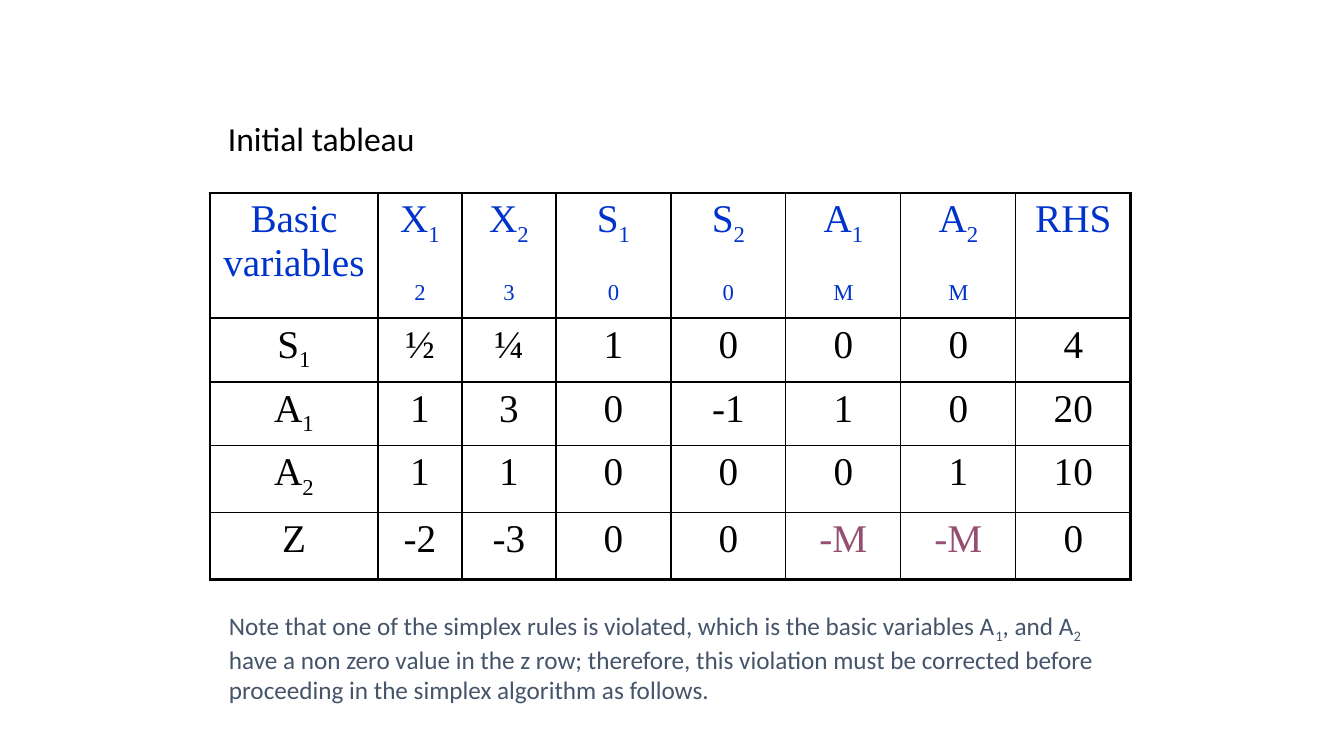
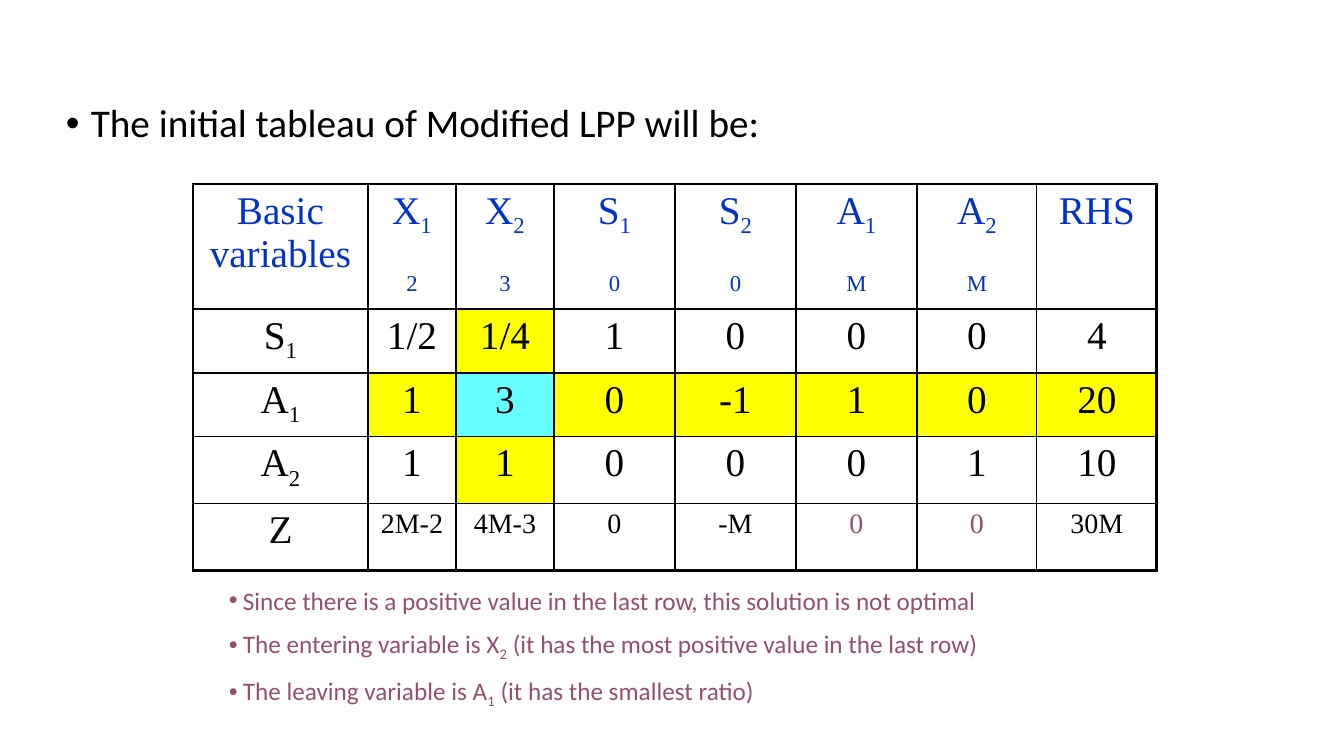
"""Two slides with the initial simplex tableau of the Big M method and its modified form."""
from lxml import etree
from pptx import Presentation
from pptx.dml.color import RGBColor
from pptx.enum.text import PP_ALIGN as Align
from pptx.oxml.ns import qn
from pptx.util import Pt

PX = 914400 / 100.8
COLORS = {
    "ink": "000000",
    "header": "0033CC",
    "accent": "954F72",
    "note": "44546A",
    "pivot line": "FFFF00",
    "pivot": "66FFFF",
}
HEADER = ["Basic variables", "X~1~\n~2~", "X~2~\n~3~", "S~1~\n~0~",
          "S~2~\n~0~", "A~1~\n~M~", "A~2~\n~M~", "RHS"]
ROW_HEIGHTS = [94, 64, 59, 67, 67]
LAST_ROW = len(ROW_HEIGHTS) - 1
LAST_COL = len(HEADER) - 1
ARTIFICIAL_COLS = (5, 6)


def px(*lengths):
    return [round(length * PX) for length in lengths]


def write(frame, text, size, color, font="Calibri", align=Align.LEFT,
          before=0, line=None, indent=0):
    """Fill a text frame; tildes enclose subscripts."""
    frame.word_wrap = True
    for number, content in enumerate(text.split("\n")):
        paragraph = frame.paragraphs[0] if number == 0 else frame.add_paragraph()
        paragraph.alignment = align
        paragraph.space_before = Pt(before)
        if line:
            paragraph.line_spacing = line
        if indent:
            properties = paragraph._p.get_or_add_pPr()
            hang = px(indent)[0]
            properties.set("marL", str(hang))
            properties.set("indent", str(-hang))
            etree.SubElement(properties, qn("a:buFont"), typeface="Arial")
            etree.SubElement(properties, qn("a:buChar"), char="•")
        for part, piece in enumerate(content.split("~")):
            if not piece:
                continue
            run = paragraph.add_run()
            run.text = piece
            run.font.size = Pt(size)
            run.font.name = font
            run.font.color.rgb = RGBColor.from_string(COLORS[color])
            if part % 2:
                run._r.get_or_add_rPr().set("baseline", "-25000")


tableaus = [
    {
        "heading": "Initial tableau",
        "heading box": (218, 117, 932, 51),
        "heading format": {"size": 24},
        "corner": (210, 193),
        "columns": [168, 84, 94] + [115] * 5,
        "rows": ["S~1~ ½ ¼ 1 0 0 0 4",
                 "A~1~ 1 3 0 -1 1 0 20",
                 "A~2~ 1 1 0 0 0 1 10",
                 "Z -2 -3 0 0 -M -M 0"],
        "z size": 28,
        "pivot": None,
        "note": "Note that one of the simplex rules is violated, which is the basic "
                "variables A~1~, and A~2~ have a non zero value in the z row; therefore, "
                "this violation must be corrected before proceeding in the simplex "
                "algorithm as follows.",
        "note box": (219, 605, 899, 101),
        "note format": {"color": "note"},
    },
    {
        "heading": "The initial tableau of Modified LPP will be:",
        "heading box": (56, 99, 1200, 562),
        "heading format": {"size": 28, "indent": 25},
        "corner": (193, 184),
        "columns": [175, 88, 98] + [121] * 3 + [120] * 2,
        "rows": ["S~1~ 1/2 1/4 1 0 0 0 4",
                 "A~1~ 1 3 0 -1 1 0 20",
                 "A~2~ 1 1 0 0 0 1 10",
                 "Z 2M-2 4M-3 0 -M 0 0 30M"],
        "z size": 20,
        "pivot": (2, 2),
        "note": "Since there is a positive value in the last row, this solution is not optimal\n"
                "The entering variable is X~2~ (it has the most positive value in the last row)\n"
                "The leaving variable is A~1~ (it has the smallest ratio)",
        "note box": (219, 580, 890, 131),
        "note format": {"color": "accent", "indent": 14},
    },
]

deck = Presentation()
deck.slide_width, deck.slide_height = px(1344, 756)

for tableau in tableaus:
    shapes = deck.slides.add_slide(deck.slide_layouts[6]).shapes
    heading = shapes.add_textbox(*px(*tableau["heading box"]))
    write(heading.text_frame, tableau["heading"], color="ink", before=10, line=0.9,
          **tableau["heading format"])

    columns = tableau["columns"]
    grid = shapes.add_table(len(ROW_HEIGHTS), len(HEADER), *px(
        *tableau["corner"], sum(columns), sum(ROW_HEIGHTS))).table
    grid.first_row = grid.horz_banding = False
    for column, width in zip(grid.columns, px(*columns)):
        column.width = width
    for row, height in zip(grid.rows, px(*ROW_HEIGHTS)):
        row.height = height

    values = [HEADER] + [row.split() for row in tableau["rows"]]
    for r, row in enumerate(values):
        for c, value in enumerate(row):
            cell = grid.cell(r, c)
            color = "header" if r == 0 else "ink"
            if r == LAST_ROW and c in ARTIFICIAL_COLS:
                color = "accent"
            size = tableau["z size"] if r == LAST_ROW and c > 0 else 28
            write(cell.text_frame, value, size, color, font="Times New Roman",
                  align=Align.CENTER, before=size * 0.2)

            outer = {"L": c == 0, "R": c == LAST_COL, "T": r == 0, "B": r == LAST_ROW}
            cell_properties = cell._tc.get_or_add_tcPr()
            for side, is_outer in outer.items():
                border = etree.SubElement(cell_properties, qn(f"a:ln{side}"),
                                          w=str(Pt(2.25 if is_outer else 1)))
                paint = etree.SubElement(border, qn("a:solidFill"))
                etree.SubElement(paint, qn("a:srgbClr"), val=COLORS["ink"])

            highlight = None
            if tableau["pivot"]:
                pivot_row, pivot_col = tableau["pivot"]
                if (r, c) == (pivot_row, pivot_col):
                    highlight = "pivot"
                elif (r == pivot_row and c > 0) or (c == pivot_col and 0 < r < LAST_ROW):
                    highlight = "pivot line"
            if highlight:
                cell.fill.solid()
                cell.fill.fore_color.rgb = RGBColor.from_string(COLORS[highlight])
            else:
                cell.fill.background()

    note = shapes.add_textbox(*px(*tableau["note box"]))
    write(note.text_frame, tableau["note"], size=18, before=9, **tableau["note format"])

deck.save("out.pptx")
